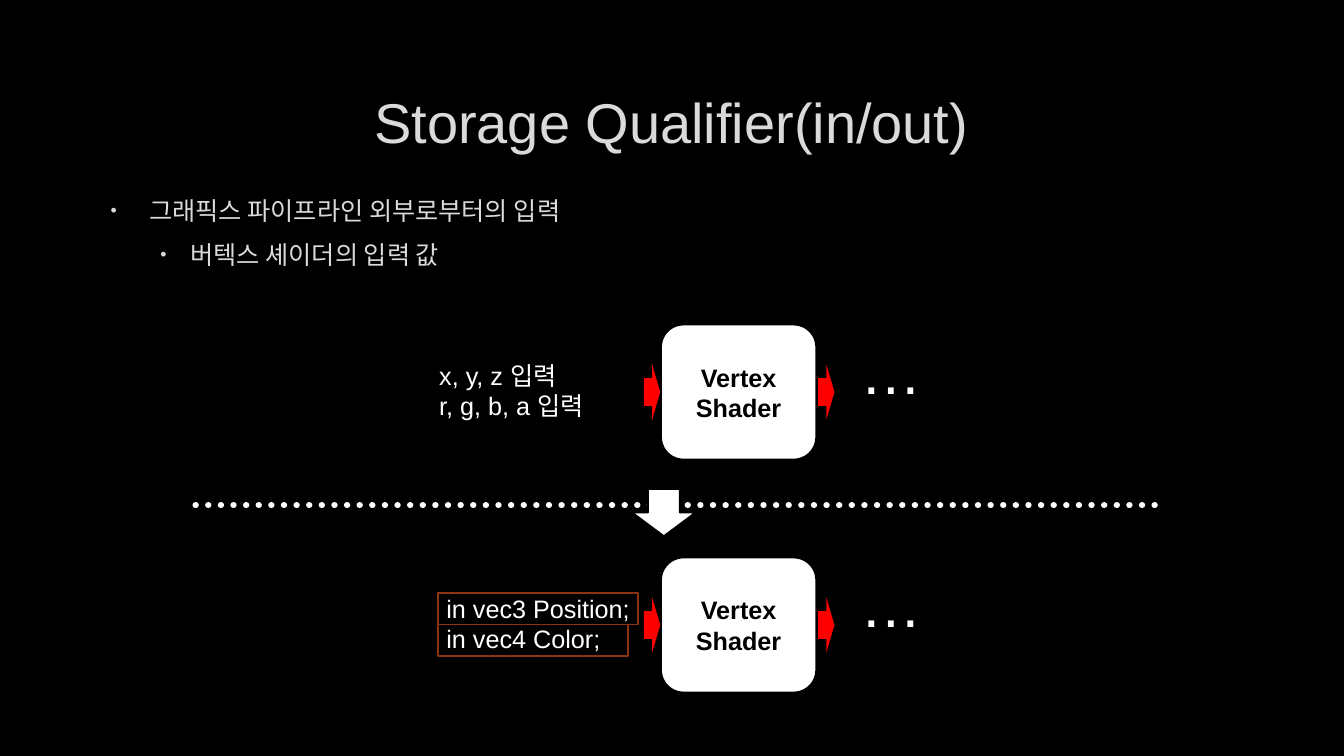
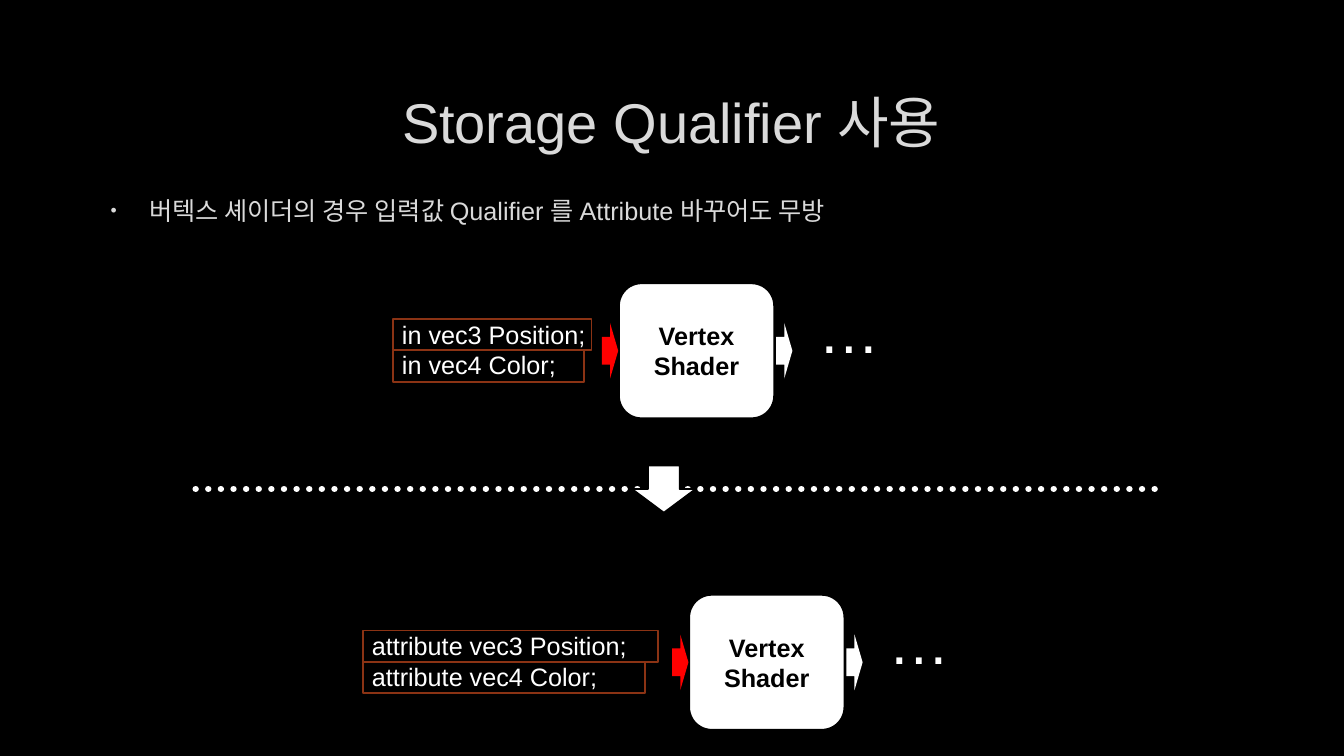
"""Build two slides on shader storage qualifiers."""
from pptx import Presentation, util as u
from pptx.dml.color import RGBColor
from pptx.enum import dml, shapes, text
from pptx.oxml import parse_xml
from pptx.oxml.ns import nsdecls, qn

BLACK = RGBColor(0, 0, 0)
WHITE = RGBColor(255, 255, 255)
RED = RGBColor(255, 0, 0)
BROWN = RGBColor(0x8B, 0x33, 0x14)
GREY = RGBColor(0xDA, 0xDA, 0xDA)
FONT = "Arial"
KIND = shapes.MSO_SHAPE

BOX_WIDTH, BOX_HEIGHT = 3.91, 3.4
ARROW_WIDTH, ARROW_HEIGHT = 0.41, 1.4
FRAME_HEIGHT = 0.79
INDENTS = [(0.97, -0.97), (2.01, -0.76)]

DECLARATIONS = ["in vec3 Position;", "in vec4 Color;"]
SLIDES = [
    {
        "title": "Storage Qualifier(in/out)",
        "bullets": [("그래픽스 파이프라인 외부로부터의 입력", 0),
                    ("버텍스 셰이더의 입력 값", 1)],
        "output": RED,
        "divider": 12.73,
        "arrow": 12.32,
        "stages": [
            {"at": (16.66, 8.18), "left": 10.82, "width": 5.41, "frames": [],
             "inputs": ["x, y, z 입력", "r, g, b, a 입력"]},
            {"at": (16.66, 14.05), "left": 11, "width": 5.23,
             "frames": [5.05, 4.8], "inputs": DECLARATIONS},
        ],
    },
    {
        "title": "Storage Qualifier 사용",
        "bullets": [("버텍스 셰이더의 경우 입력값 Qualifier 를 Attribute 바꾸어도 무방", 0)],
        "output": WHITE,
        "divider": 12.32,
        "arrow": 11.73,
        "stages": [
            {"at": (15.6, 7.14), "left": 9.88, "width": 5.23,
             "frames": [5, 4.8], "inputs": DECLARATIONS},
            {"at": (17.37, 14.99), "left": 9.12, "width": 7.75,
             "frames": [7.44, 7.11],
             "inputs": ["attribute vec3 Position;", "attribute vec4 Color;"]},
        ],
    },
]


def write(box, lines, size=18, color=WHITE, bold=False, align=text.PP_ALIGN.LEFT,
          anchor=text.MSO_ANCHOR.TOP):
    """Fill a shape with one paragraph per line and return the paragraphs."""
    frame = box.text_frame
    frame.word_wrap = True
    frame.vertical_anchor = anchor
    for index, line in enumerate(lines):
        para = frame.add_paragraph() if index else frame.paragraphs[0]
        para.alignment = align
        span = para.add_run()
        span.text = line
        font = span.font
        font.name, font.size, font.bold = FONT, u.Pt(size), bold
        font.color.rgb = color
    return frame.paragraphs


def add_text(page, place, lines, **style):
    """Add a text box."""
    return write(page.shapes.add_textbox(*map(u.Cm, place)), lines, **style)


def add_shape(page, kind, place, fill=None, line=None):
    """Add a preset shape with an optional fill and outline."""
    shape = page.shapes.add_shape(kind, *map(u.Cm, place))
    shape.shadow.inherit = False
    for part, color in ((shape.fill, fill), (shape.line.fill, line)):
        if color is None:
            part.background()
        else:
            part.solid()
            part.fore_color.rgb = color
    if line is not None:
        shape.line.width = u.Pt(1.25)
    return shape


def add_bullets(page, bullets):
    """Add the bulleted list below the title."""
    paras = add_text(page, (2.54, 4.8, 28.75, 11.28),
                     [line for line, level in bullets], color=GREY)
    for para, (line, level) in zip(paras, bullets):
        para.space_before, para.space_after = u.Pt(3.6), u.Pt(6)
        margin, indent = INDENTS[level]
        props = para._p.get_or_add_pPr()
        props.set("marL", str(u.Cm(margin)))
        props.set("indent", str(u.Cm(indent)))
        for mark in ('buSzPct {} val="70000"', 'buFont {} typeface="Arial"',
                     'buChar {} char="•"'):
            props.append(parse_xml(f"<a:{mark.format(nsdecls('a'))}/>"))


def add_stage(page, stage, output):
    """Add a shader box with its inputs, arrows and trailing dots."""
    left, top = stage["at"]
    box = add_shape(page, KIND.ROUNDED_RECTANGLE, (left, top, BOX_WIDTH, BOX_HEIGHT),
                    WHITE, BLACK)
    write(box, ["Vertex Shader"], color=BLACK, bold=True,
          align=text.PP_ALIGN.CENTER, anchor=text.MSO_ANCHOR.MIDDLE)
    arrow_top = top + (BOX_HEIGHT - ARROW_HEIGHT) / 2
    for arrow_left, color in ((left + 3.96, output), (left - 0.43, RED)):
        add_shape(page, KIND.RIGHT_ARROW,
                  (arrow_left, arrow_top, ARROW_WIDTH, ARROW_HEIGHT), color)
    add_text(page, (left + 4.78, top + 0.08, 2.01, 2.13), ["…"], size=44)
    add_text(page, (stage["left"], top + 0.78, stage["width"], 1.8), stage["inputs"])
    for row, width in enumerate(stage["frames"]):
        add_shape(page, KIND.RECTANGLE,
                  (stage["left"] + 0.03, top + 0.9 + row * FRAME_HEIGHT,
                   width, FRAME_HEIGHT), line=BROWN)


def add_divider(page, line_top, arrow_top):
    """Add the dotted line and the arrow that crosses it."""
    divider = page.shapes.add_connector(
        shapes.MSO_CONNECTOR.STRAIGHT,
        *map(u.Cm, (4.93, line_top, 29.13, line_top)))
    divider.line.color.rgb = WHITE
    divider.line.width = u.Pt(4.5)
    divider.line.dash_style = dml.MSO_LINE.ROUND_DOT
    props = divider._element.spPr
    props.find(qn("a:ln")).set("cap", "rnd")
    props.append(parse_xml(f"<a:effectLst {nsdecls('a')}/>"))
    add_shape(page, KIND.DOWN_ARROW, (15.93, arrow_top, 1.6, 1.19), WHITE, BLACK)


def main():
    """Build and save the deck."""
    deck = Presentation()
    deck.slide_width, deck.slide_height = u.Cm(33.87), u.Cm(19.05)
    background = deck.slide_master.background.fill
    background.solid()
    background.fore_color.rgb = BLACK
    for content in SLIDES:
        page = deck.slides.add_slide(deck.slide_layouts[6])
        add_text(page, (2.54, 1.7, 28.75, 2.69), [content["title"]], size=40,
                 color=GREY, align=text.PP_ALIGN.CENTER,
                 anchor=text.MSO_ANCHOR.MIDDLE)
        add_bullets(page, content["bullets"])
        for stage in content["stages"]:
            add_stage(page, stage, content["output"])
        add_divider(page, content["divider"], content["arrow"])
    deck.save("out.pptx")


if __name__ == "__main__":
    main()
